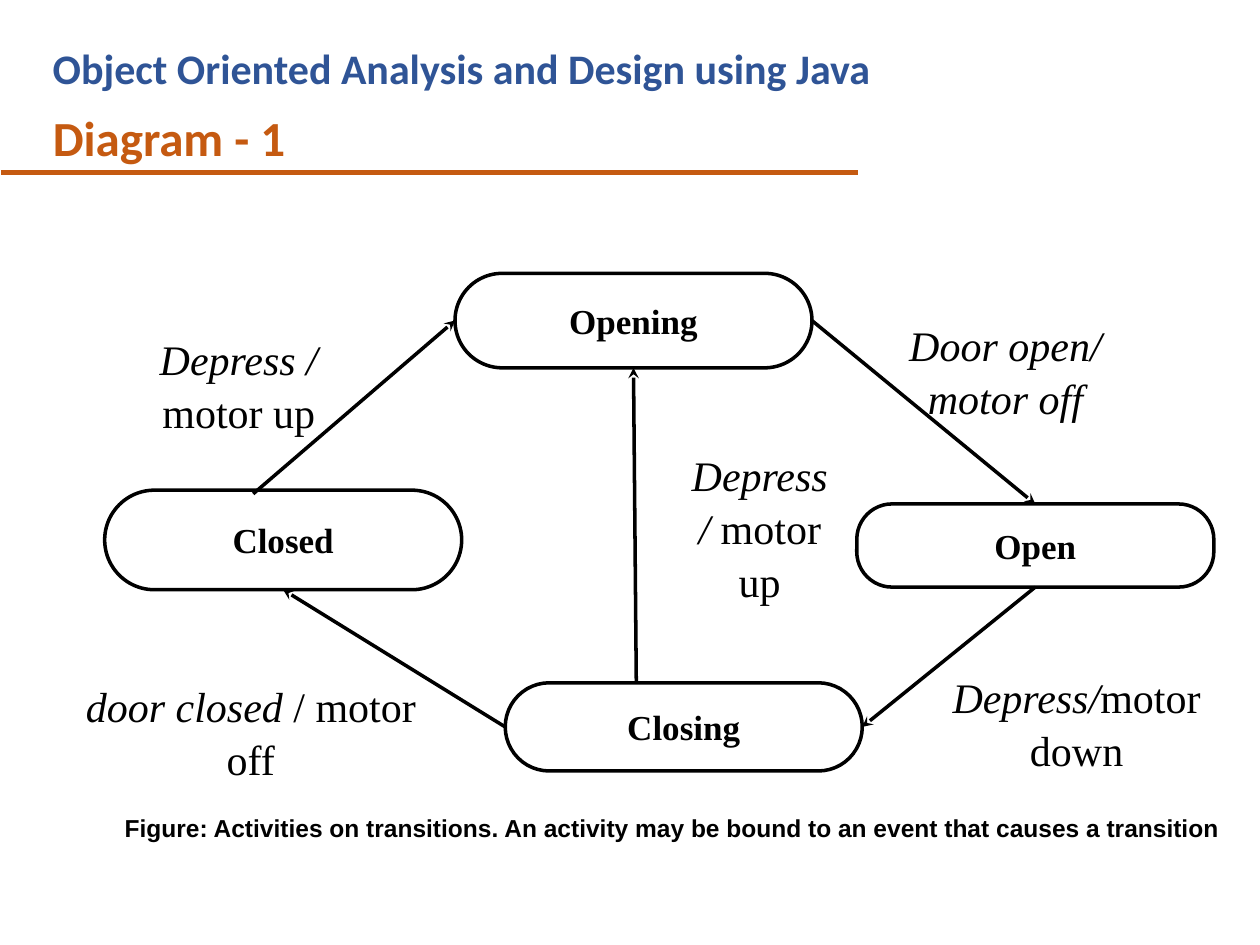
from dataclasses import dataclass
from typing import NamedTuple, Optional

from lxml.etree import SubElement
from pptx import Presentation
from pptx.dml.color import RGBColor
from pptx.enum.shapes import MSO_CONNECTOR, MSO_SHAPE
from pptx.enum.text import MSO_ANCHOR, MSO_AUTO_SIZE, PP_ALIGN
from pptx.oxml.ns import qn
from pptx.util import Pt

TOP, LEFT, BOTTOM, RIGHT = range(4)


@dataclass(frozen=True)
class Theme:
    heading_font: str = "Calibri"
    diagram_font: str = "Times New Roman"
    caption_font: str = "Arial"
    ink: RGBColor = RGBColor(0x00, 0x00, 0x00)
    blue: RGBColor = RGBColor(0x2F, 0x54, 0x96)
    orange: RGBColor = RGBColor(0xC5, 0x5A, 0x11)
    title_size: int = 28
    course_size: int = 24
    label_size: int = 24
    state_size: int = 20
    caption_size: int = 14
    label_spacing: float = 1.05
    rule_width: int = 3
    line_width: int = 2


class Box(NamedTuple):
    left: float
    top: float
    width: float
    height: float


class Point(NamedTuple):
    x: float
    y: float


class Run(NamedTuple):
    text: str
    italic: bool = False


@dataclass(frozen=True)
class State:
    name: str
    box: Box
    rounding: float = 0.5


@dataclass(frozen=True)
class Transition:
    """Each end is a state's side, or a free point where it meets no side's middle."""
    start: tuple | Point
    end: tuple | Point


@dataclass(frozen=True)
class Label:
    box: Box
    paragraphs: list


THEME = Theme()
STATE_WIDTH = 204

STATES = [
    State("Opening", Box(260, 156.2, STATE_WIDTH, 54)),
    State("Closed", Box(59.8, 280.1, STATE_WIDTH, 56.9)),
    State("Closing", Box(288.7, 390.2, STATE_WIDTH, 50.4)),
    State("Open", Box(489.6, 288, STATE_WIDTH, 47.5), 0.424),
]

TRANSITIONS = [
    Transition(Point(144.7, 282.2), ("Opening", LEFT)),
    Transition(("Opening", RIGHT), ("Open", TOP)),
    Transition(("Open", BOTTOM), ("Closing", RIGHT)),
    Transition(("Closing", LEFT), ("Closed", BOTTOM)),
    Transition(Point(363.6, 390.2), ("Opening", BOTTOM)),
]

LABELS = [
    Label(Box(36, 383.8, 214.6, 93.6), [[Run("door closed", True), Run(" / motor off")]]),
    Label(Box(53.3, 185.8, 166.3, 93.6), [[Run("Depress / ", True), Run("motor up")]]),
    Label(Box(526.3, 378.7, 177.8, 93.6), [[Run("Depress/", True), Run("motor down")]]),
    Label(Box(385.9, 252, 96.5, 122.4),
          [[Run("Depress", True)], [Run("/ ", True), Run("motor up")]]),
    Label(Box(507.6, 177.8, 133.9, 64.8), [[Run("Door open/ motor off", True)]]),
]


def write(shape, paragraphs: list, *, font: str, size: float, color: RGBColor,
          bold: bool = False, align=PP_ALIGN.LEFT, anchor=MSO_ANCHOR.TOP,
          spacing: Optional[float] = None) -> None:
    frame = shape.text_frame
    frame.word_wrap = True
    frame.auto_size = MSO_AUTO_SIZE.NONE
    frame.vertical_anchor = anchor
    for index, runs in enumerate(paragraphs):
        paragraph = frame.add_paragraph() if index else frame.paragraphs[0]
        paragraph.alignment = align
        paragraph.space_before = Pt(0)
        if spacing:
            paragraph.line_spacing = spacing
        for part in runs:
            run = paragraph.add_run()
            run.text = part.text
            run.font.name = font
            run.font.size = Pt(size)
            run.font.bold = bold
            run.font.italic = part.italic
            run.font.color.rgb = color


def add_text(slide, box: Box, paragraphs: list, **style) -> None:
    write(slide.shapes.add_textbox(*map(Pt, box)), paragraphs, **style)


def add_line(slide, start: Point, end: Point, color: RGBColor, width: float):
    line = slide.shapes.add_connector(MSO_CONNECTOR.STRAIGHT, *map(Pt, (*start, *end)))
    line.line.color.rgb = color
    line.line.width = Pt(width)
    SubElement(line._element.spPr, qn("a:effectLst"))
    return line


def add_state(slide, state: State):
    shape = slide.shapes.add_shape(MSO_SHAPE.ROUNDED_RECTANGLE, *map(Pt, state.box))
    shape.adjustments[0] = state.rounding
    shape.shadow.inherit = False
    shape.fill.background()
    shape.line.color.rgb = THEME.ink
    shape.line.width = Pt(THEME.line_width)
    write(shape, [[Run(state.name)]], font=THEME.diagram_font, size=THEME.state_size,
          color=THEME.ink, bold=True, align=PP_ALIGN.CENTER, anchor=MSO_ANCHOR.MIDDLE)
    return shape


def add_transition(slide, transition: Transition, shapes: dict) -> None:
    origin = Point(0, 0)
    start, end = (p if isinstance(p, Point) else origin
                  for p in (transition.start, transition.end))
    arrow = add_line(slide, start, end, THEME.ink, THEME.line_width)
    for place, connect in ((transition.start, arrow.begin_connect),
                           (transition.end, arrow.end_connect)):
        if not isinstance(place, Point):
            name, side = place
            connect(shapes[name], side)
    SubElement(arrow.line._get_or_add_ln(), qn("a:tailEnd"), type="stealth")


def main() -> None:
    deck = Presentation()
    deck.slide_width, deck.slide_height = Pt(720), Pt(540)
    slide = deck.slides.add_slide(deck.slide_layouts[5])

    add_line(slide, Point(0.5, 98.6), Point(490.3, 98.6), THEME.orange, THEME.rule_width)
    title = slide.shapes.title
    title.left, title.top, title.width, title.height = map(Pt, Box(23, 57.6, 431.3, 41))
    write(title, [[Run("Diagram - 1")]], font=THEME.heading_font,
          size=THEME.title_size, color=THEME.orange, bold=True)
    add_text(slide, Box(23, 20.9, 539.3, 36),
             [[Run("Object Oriented Analysis and Design using Java")]],
             font=THEME.heading_font, size=THEME.course_size, color=THEME.blue, bold=True)

    shapes = {state.name: add_state(slide, state) for state in STATES}
    for transition in TRANSITIONS:
        add_transition(slide, transition, shapes)
    for label in LABELS:
        add_text(slide, label.box, label.paragraphs, font=THEME.diagram_font,
                 size=THEME.label_size, color=THEME.ink, align=PP_ALIGN.CENTER,
                 spacing=THEME.label_spacing)

    add_text(slide, Box(52.6, 460.8, 667.4, 24.5),
             [[Run("Figure: Activities on transitions. An activity may be bound "
                   "to an event that causes a transition ")]],
             font=THEME.caption_font, size=THEME.caption_size, color=THEME.ink,
             bold=True, align=PP_ALIGN.CENTER)
    deck.save("out.pptx")


if __name__ == "__main__":
    main()
